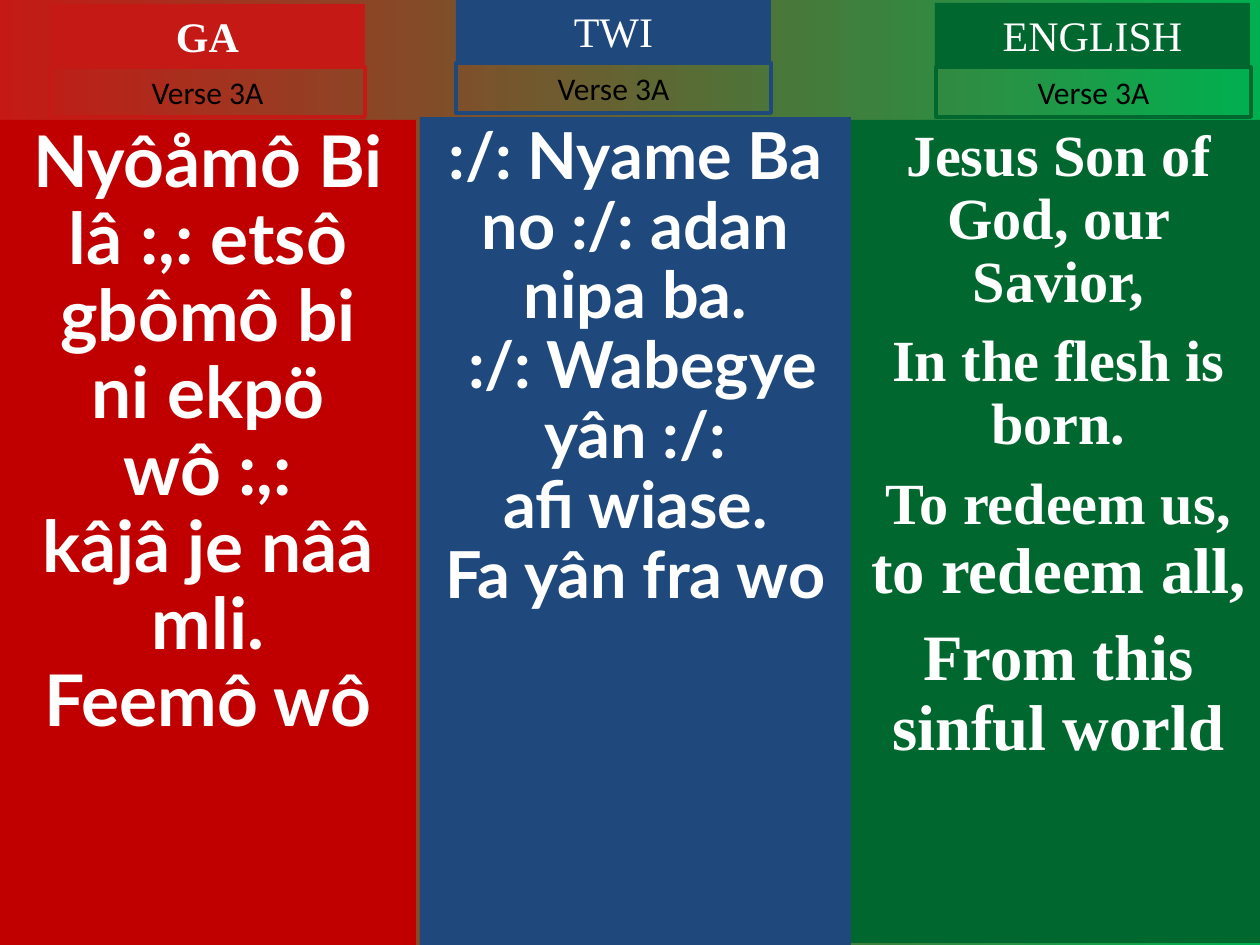
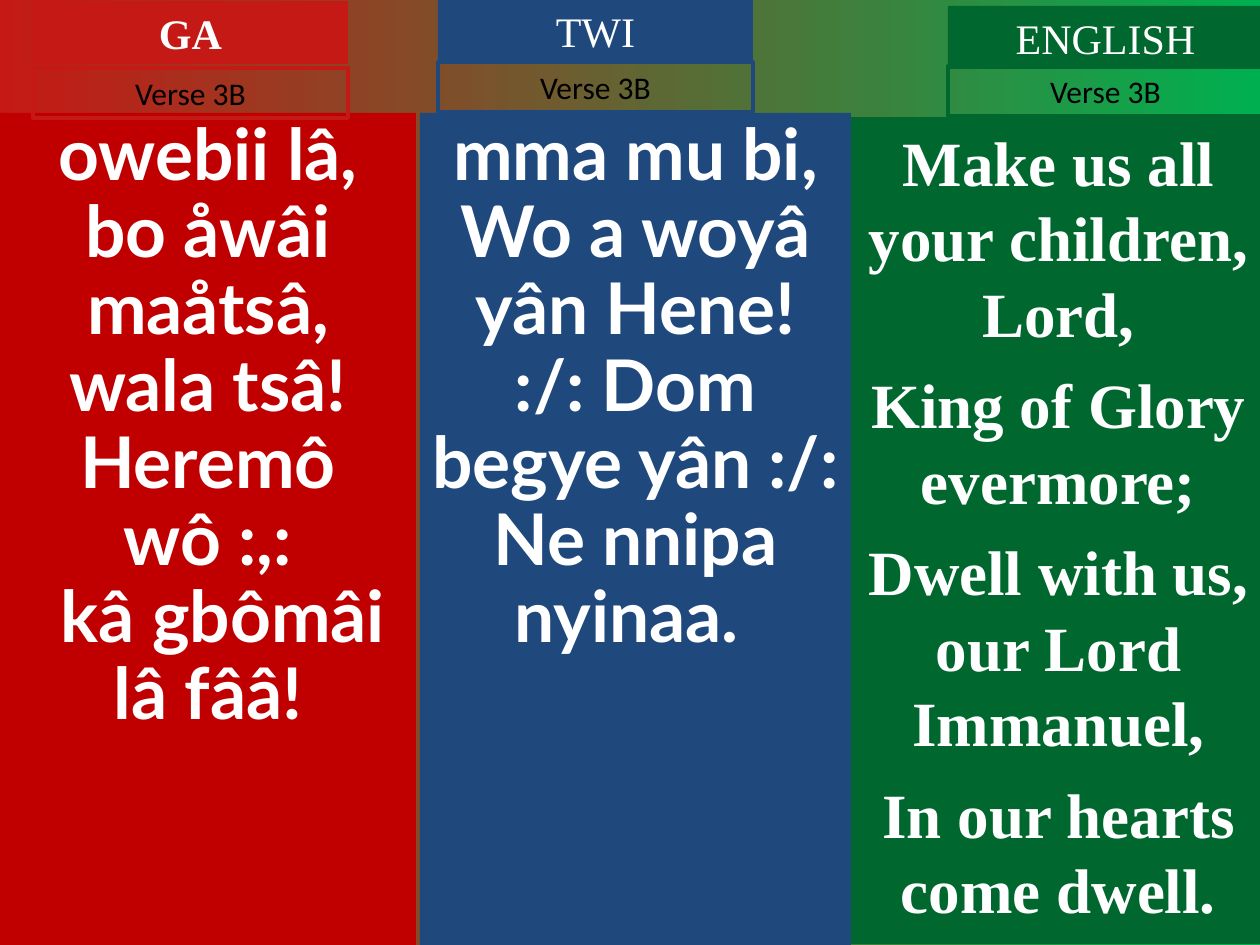
from dataclasses import dataclass
from pptx import Presentation
from pptx.dml.color import RGBColor as Rgb
from pptx.enum.shapes import MSO_SHAPE as Shape
from pptx.enum.text import MSO_ANCHOR as Anchor, PP_ALIGN as Align
from pptx.util import Emu, Pt

SCALE = 914400 / 126
WIDE, HIGH = 1260, 945
TAB_W, HEAD_H, VERSE_H = 315, 63, 50

SCARLET = Rgb(0xC5, 0x19, 0x15)
RED = Rgb(0xC0, 0x00, 0x00)
NAVY = Rgb(0x1F, 0x49, 0x7D)
GREEN = Rgb(0x00, 0x68, 0x2F)
LIME = Rgb(0x00, 0xB0, 0x50)
WHITE = Rgb(0xFF, 0xFF, 0xFF)
BLACK = Rgb(0x00, 0x00, 0x00)
SERIF, SANS, BODY = "Times New Roman", "Calibri", "Lato"


@dataclass
class Lang:
    """Look and place of one language column."""
    name: str
    tint: Rgb
    fill: Rgb
    face: str
    left: int
    width: int
    bold: bool = False


@dataclass
class Line:
    """One paragraph of a verse, as (text, size) runs."""
    runs: list
    gap: int = 0
    indent: int = 0


@dataclass
class Part:
    """Verse of one language: body top and height, tab places, lines."""
    top: int
    height: int
    head: tuple
    tag: tuple
    lines: list
    lead: float = 0.9


GA = Lang("GA", SCARLET, RED, BODY, 0, 416, True)
TWI = Lang("TWI", NAVY, NAVY, BODY, 420, 431)
ENGLISH = Lang("ENGLISH", GREEN, GREEN, SERIF, 851, 415)
LANGS = (GA, TWI, ENGLISH)


def px(num):
    """Turn pixels into EMU."""
    return Emu(round(num * SCALE))


def even(size, *texts, gap=0):
    """Make lines of one size, with a gap between them."""
    return [Line([(text, size)], gap) for text in texts]


def block(slide, box, fill=None, edge=None):
    """Add a plain rectangle and return its text frame."""
    shape = slide.shapes.add_shape(Shape.RECTANGLE, *map(px, box))
    shape.shadow.inherit = False
    if fill is None:
        shape.fill.background()
    else:
        shape.fill.solid()
        shape.fill.fore_color.rgb = fill
    if edge is None:
        shape.line.fill.background()
    else:
        shape.line.color.rgb = edge
        shape.line.width = Pt(2.25)
    frame = shape.text_frame
    frame.word_wrap = True
    frame.vertical_anchor = Anchor.TOP
    return frame


def style(para, face, color, bold=False, size=None):
    """Centre a paragraph and set its font."""
    para.alignment = Align.CENTER
    font = para.font
    font.name, font.bold, font.color.rgb = face, bold, color
    if size:
        font.size = Pt(size)


def label(frame, text, *look):
    """Write one line in a tab."""
    para = frame.paragraphs[0]
    para.text = text
    style(para, *look)


def lyrics(frame, lang, part):
    """Write the lines of a verse."""
    for num, line in enumerate(part.lines):
        para = frame.add_paragraph() if num else frame.paragraphs[0]
        para.line_spacing = part.lead
        if num and line.gap:
            para.space_before = Pt(line.gap)
        if line.indent:
            para._p.get_or_add_pPr().set("indent", str(px(line.indent)))
        for text, size in line.runs:
            run = para.add_run()
            run.text = text
            run.font.size = Pt(size)
        style(para, lang.face, WHITE, True)


def column(slide, lang, part, verse):
    """Place the body, head and verse tab of one language."""
    box = (lang.left, part.top, lang.width, part.height)
    lyrics(block(slide, box, lang.fill), lang, part)
    (head_x, head_y), (tag_x, tag_y) = part.head, part.tag
    head = block(slide, (lang.left + head_x, head_y, TAB_W, HEAD_H), lang.tint)
    label(head, lang.name, SERIF, WHITE, lang.bold, 24)
    tag = block(slide, (lang.left + tag_x, tag_y, TAB_W, VERSE_H), edge=lang.tint)
    label(tag, verse, SANS, BLACK, False, 18)


def page(deck, verse, parts):
    """Build one slide with a column for each language."""
    slide = deck.slides.add_slide(deck.slide_layouts[6])
    back = slide.background.fill
    back.gradient()
    back.gradient_angle = 0
    for stop, color, place in zip(back.gradient_stops, (SCARLET, LIME), (0, 1)):
        stop.color.rgb, stop.position = color, place
    for lang, part in zip(LANGS, parts):
        column(slide, lang, part, verse)


VERSES = {
    "Verse 3A": (
        Part(120, 825, (50, 4), (50, 67), even(
            40.7, "Nyôåmô Bi lâ :,: etsô gbômô bi", "ni ekpö wô :,:",
            "kâjâ je nââ mli.", "Feemô wô")),
        Part(117, 828, (36, -1), (36, 63), [
            Line([(":/: Nyame Ba no :/: adan nipa ba.", 37)]),
            Line([(":/: Wabegye yân :/:", 37)], indent=14),
            *even(37, "afi wiase.", "Fa yân fra wo")]),
        Part(120, 823, (84, 3), (85, 67), [
            *even(33.3, "Jesus Son of God, our Savior,",
                  "In the flesh is born.", gap=9),
            Line([("To redeem us, ", 33.3), ("to redeem all,", 37)], 10),
            Line([("From this sinful world", 37)], 10)]),
    ),
    "Verse 3B": (
        Part(113, 832, (33, 1), (33, 68), [
            *even(40.7, "owebii lâ, bo åwâi maåtsâ, wala tsâ!",
                  "Heremô wô :,:"),
            Line([("kâ gbômâi lâ fââ!", 40.7)], indent=30)]),
        Part(113, 832, (18, -1), (18, 62), even(
            40.7, "mma mu bi,", "Wo a woyâ yân Hene!",
            ":/: Dom begye yân :/:", "Ne nnipa nyinaa. ")),
        Part(117, 827, (97, 6), (97, 66), even(
            36, "Make us all your children, Lord,", "King of Glory evermore;",
            "Dwell with us, our Lord Immanuel,", "In our hearts come dwell.",
            gap=9), 1.0),
    ),
}


def main():
    """Build and save the deck."""
    deck = Presentation()
    deck.slide_width, deck.slide_height = px(WIDE), px(HIGH)
    for verse, parts in VERSES.items():
        page(deck, verse, parts)
    deck.save("out.pptx")


if __name__ == "__main__":
    main()
